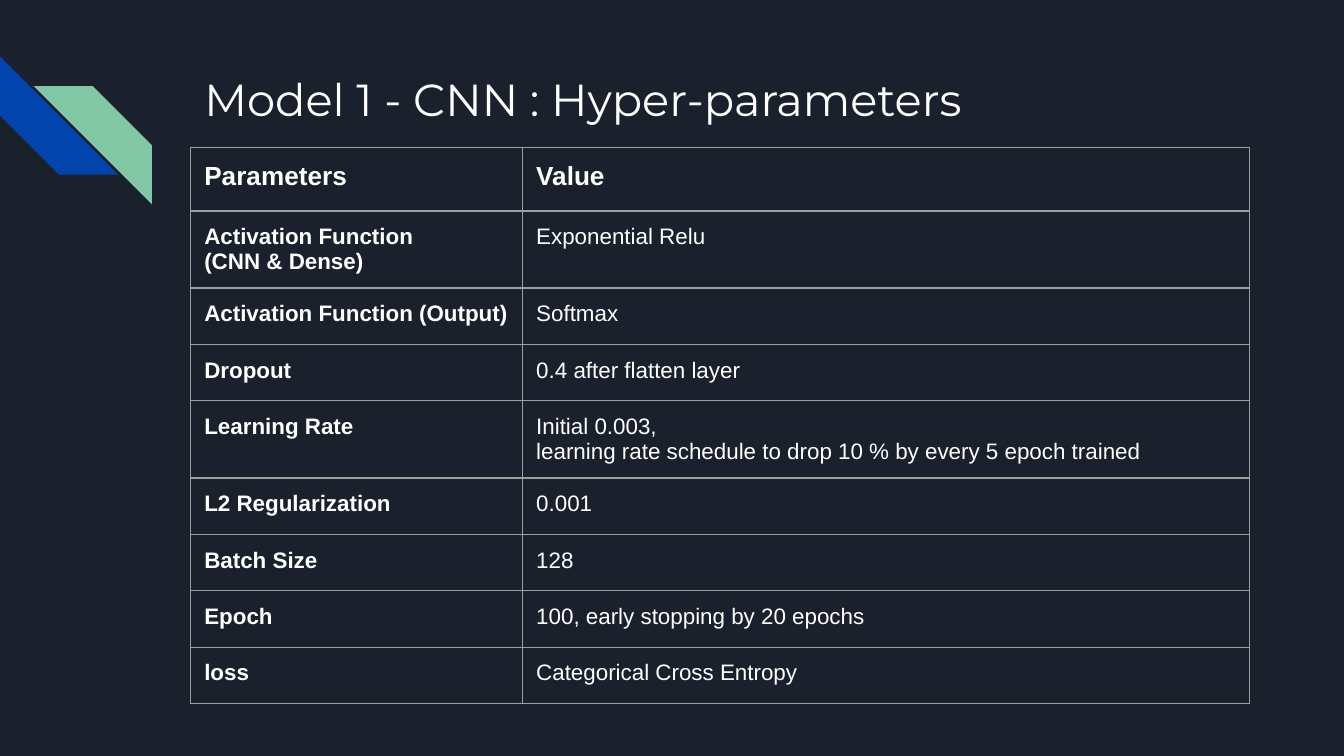
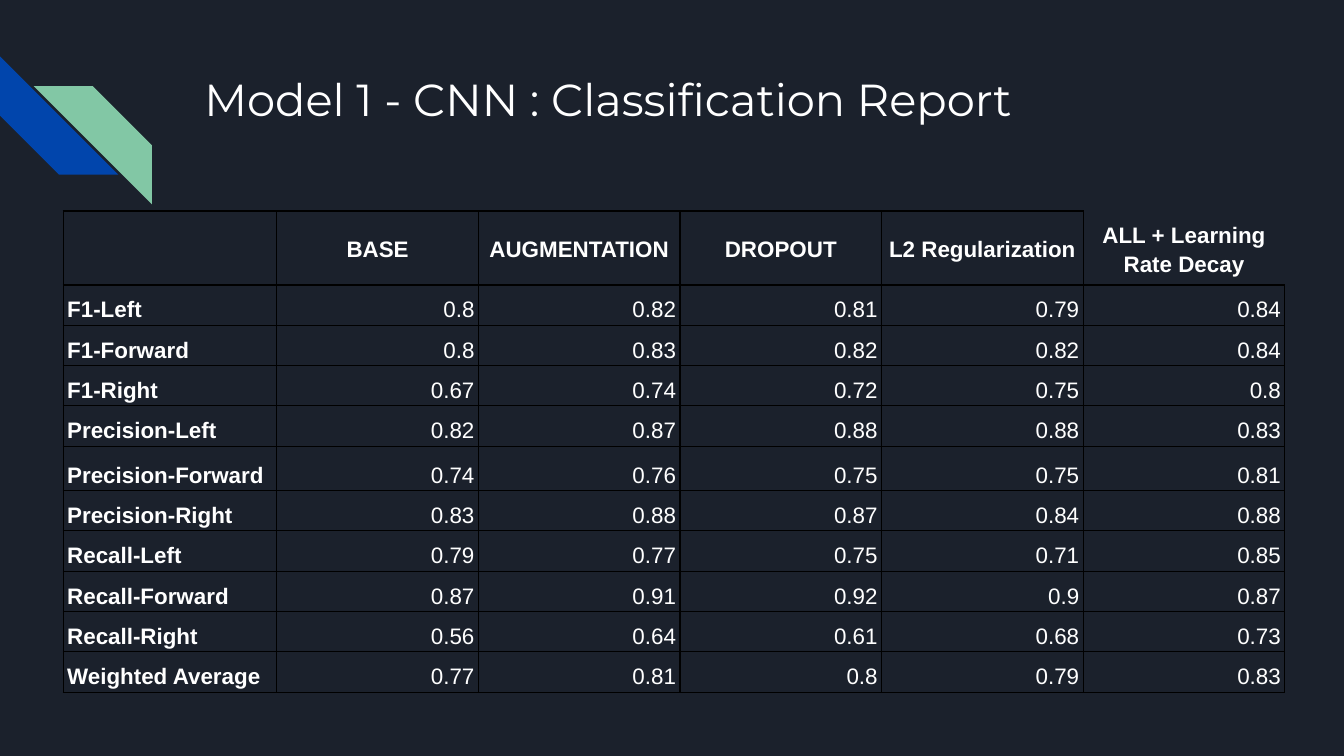
"""Build two slides on a CNN model: its hyper-parameters and its classification report."""
from dataclasses import dataclass
from typing import Any, Optional

from lxml import etree
from pptx import Presentation
from pptx import util as u
from pptx.dml.color import RGBColor
from pptx.enum import shapes, text
from pptx.oxml.ns import qn


@dataclass(frozen=True)
class Theme:
    background: str = "1B212C"
    ink: str = "FFFFFF"
    blue: str = "0145AC"
    green: str = "82C7A5"
    grey_rule: str = "9E9E9E"
    black_rule: str = "000000"
    title_font: str = "Montserrat"
    body_font: str = "Arial"
    title_size: int = 24
    header_size: int = 14
    body_size: int = 12
    rule_width: float = 0.75


@dataclass(frozen=True)
class Stripe:
    left: float
    top: float
    rotation: int
    color: str


@dataclass(frozen=True)
class CellStyle:
    size: int
    bold: bool = False
    align: Any = text.PP_ALIGN.LEFT
    anchor: Any = text.MSO_ANCHOR.TOP
    spacing: float = 1.0


@dataclass(frozen=True)
class Grid:
    left: float
    top: float
    columns: list[float]
    heights: list[float]
    rows: list[tuple]
    rule: str
    margins: tuple[float, float]
    header: CellStyle
    label: CellStyle
    value: CellStyle
    open_corner: bool = False


THEME = Theme()
STRIPE_SIZE = 0.88
STRIPES = (Stripe(0, 0.42, 270, THEME.blue), Stripe(0.25, 0.64, 90, THEME.green))
SIDES = ("lnL", "lnR", "lnT", "lnB")

HYPER_PARAMETERS = [
    ("Parameters", "Value"),
    ("Activation Function\n(CNN & Dense)", "Exponential Relu"),
    ("Activation Function (Output)", "Softmax"),
    ("Dropout", "0.4 after flatten layer"),
    ("Learning Rate",
     "Initial 0.003,\nlearning rate schedule to drop 10 % by every 5 epoch trained"),
    ("L2 Regularization", "0.001"),
    ("Batch Size", "128"),
    ("Epoch", "100, early stopping by 20 epochs"),
    ("loss", "Categorical Cross Entropy"),
]
REPORT = [
    ("", "BASE", "AUGMENTATION", "DROPOUT", "L2 Regularization",
     "ALL + Learning Rate Decay"),
    ("F1-Left", 0.8, 0.82, 0.81, 0.79, 0.84),
    ("F1-Forward", 0.8, 0.83, 0.82, 0.82, 0.84),
    ("F1-Right", 0.67, 0.74, 0.72, 0.75, 0.8),
    ("Precision-Left", 0.82, 0.87, 0.88, 0.88, 0.83),
    ("Precision-Forward", 0.74, 0.76, 0.75, 0.75, 0.81),
    ("Precision-Right", 0.83, 0.88, 0.87, 0.84, 0.88),
    ("Recall-Left", 0.79, 0.77, 0.75, 0.71, 0.85),
    ("Recall-Forward", 0.87, 0.91, 0.92, 0.9, 0.87),
    ("Recall-Right", 0.56, 0.64, 0.61, 0.68, 0.73),
    ("Weighted Average", 0.77, 0.81, 0.8, 0.79, 0.83),
]

PARAMETER_GRID = Grid(
    left=1.42, top=1.1, columns=[2.47, 5.41], heights=[0.47] + [0.42] * 8,
    rows=HYPER_PARAMETERS, rule=THEME.grey_rule, margins=(0.1, 0.1),
    header=CellStyle(THEME.header_size, bold=True),
    label=CellStyle(THEME.body_size, bold=True),
    value=CellStyle(THEME.body_size),
)
REPORT_GRID = Grid(
    left=0.47, top=1.57, columns=[1.59] + [1.5] * 5,
    heights=[0.55] + [0.3] * 4 + [0.33] + [0.3] * 5,
    rows=REPORT, rule=THEME.black_rule, margins=(0.03, 0.02),
    header=CellStyle(THEME.body_size, True, text.PP_ALIGN.CENTER,
                     text.MSO_ANCHOR.MIDDLE, 1.15),
    label=CellStyle(THEME.body_size, True, anchor=text.MSO_ANCHOR.BOTTOM),
    value=CellStyle(THEME.body_size, False, text.PP_ALIGN.RIGHT,
                    text.MSO_ANCHOR.BOTTOM),
    open_corner=True,
)


def apply(target: Any, values: dict[str, Any]) -> None:
    for name, value in values.items():
        setattr(target, name, value)


def set_font(font: Any, name: str, size: int, bold: bool) -> None:
    apply(font, {"name": name, "size": u.Pt(size), "bold": bold})
    font.color.rgb = RGBColor.from_string(THEME.ink)


def add_stripe(slide: Any, stripe: Stripe) -> None:
    band = slide.shapes.add_shape(
        shapes.MSO_SHAPE.DIAGONAL_STRIPE, u.Inches(stripe.left), u.Inches(stripe.top),
        u.Inches(STRIPE_SIZE), u.Inches(STRIPE_SIZE))
    band.adjustments[0] = 0.5
    band.rotation = stripe.rotation
    band.shadow.inherit = False
    band.fill.solid()
    band.fill.fore_color.rgb = RGBColor.from_string(stripe.color)
    band.line.fill.background()


def add_titled_slide(deck: Any, heading: str) -> Any:
    slide = deck.slides.add_slide(deck.slide_layouts.get_by_name("Title Only"))
    for stripe in STRIPES:
        add_stripe(slide, stripe)
    title = slide.shapes.title
    apply(title, {"left": u.Inches(1.42), "top": u.Inches(0.43),
                  "width": u.Inches(8.21), "height": u.Inches(1)})
    frame = title.text_frame
    frame.text = heading
    inset = u.Inches(0.1)
    apply(frame, {"margin_left": inset, "margin_right": inset,
                  "margin_top": inset, "margin_bottom": inset,
                  "vertical_anchor": text.MSO_ANCHOR.TOP,
                  "auto_size": text.MSO_AUTO_SIZE.NONE, "word_wrap": True})
    paragraph = frame.paragraphs[0]
    paragraph.alignment = text.PP_ALIGN.LEFT
    set_font(paragraph.font, THEME.title_font, THEME.title_size, False)
    return slide


def add_border(cell: Any, side: str, color: Optional[str]) -> None:
    properties = cell._tc.get_or_add_tcPr()
    line = etree.SubElement(properties, qn(f"a:{side}"), w=str(u.Pt(THEME.rule_width)))
    if color is None:
        etree.SubElement(line, qn("a:noFill"))
    else:
        fill = etree.SubElement(line, qn("a:solidFill"))
        etree.SubElement(fill, qn("a:srgbClr"), val=color)


def fill_cell(cell: Any, content: Any, style: CellStyle, margins: tuple[float, float]) -> None:
    side, end = (u.Inches(margin) for margin in margins)
    apply(cell, {"margin_left": side, "margin_right": side, "margin_top": end,
                 "margin_bottom": end, "vertical_anchor": style.anchor})
    cell.text = str(content)
    for paragraph in cell.text_frame.paragraphs:
        apply(paragraph, {"alignment": style.align, "line_spacing": style.spacing})
        set_font(paragraph.font, THEME.body_font, style.size, style.bold)


def add_grid(slide: Any, grid: Grid) -> None:
    table = slide.shapes.add_table(
        len(grid.rows), len(grid.columns), u.Inches(grid.left), u.Inches(grid.top),
        u.Inches(sum(grid.columns)), u.Inches(sum(grid.heights))).table
    apply(table, {"first_row": False, "horz_banding": False})
    for column, width in zip(table.columns, grid.columns):
        column.width = u.Inches(width)
    for row, height in zip(table.rows, grid.heights):
        row.height = u.Inches(height)
    last_column = len(grid.columns) - 1
    for r, contents in enumerate(grid.rows):
        for c, content in enumerate(contents):
            cell = table.cell(r, c)
            style = grid.header if r == 0 else grid.label if c == 0 else grid.value
            fill_cell(cell, content, style, grid.margins)
            is_open = grid.open_corner and (r, c) == (0, last_column)
            for side in SIDES:
                hidden = is_open and side in ("lnR", "lnT")
                add_border(cell, side, None if hidden else grid.rule)
            cell.fill.background()


def main() -> None:
    deck = Presentation()
    width = u.Inches(10)
    apply(deck, {"slide_width": width, "slide_height": width * 9 // 16})
    backdrop = deck.slide_master.background.fill
    backdrop.solid()
    backdrop.fore_color.rgb = RGBColor.from_string(THEME.background)
    for heading, grid in (
        ("Model 1 - CNN : Hyper-parameters", PARAMETER_GRID),
        ("Model 1 - CNN : Classification Report", REPORT_GRID),
    ):
        add_grid(add_titled_slide(deck, heading), grid)
    deck.save("out.pptx")


if __name__ == "__main__":
    main()
